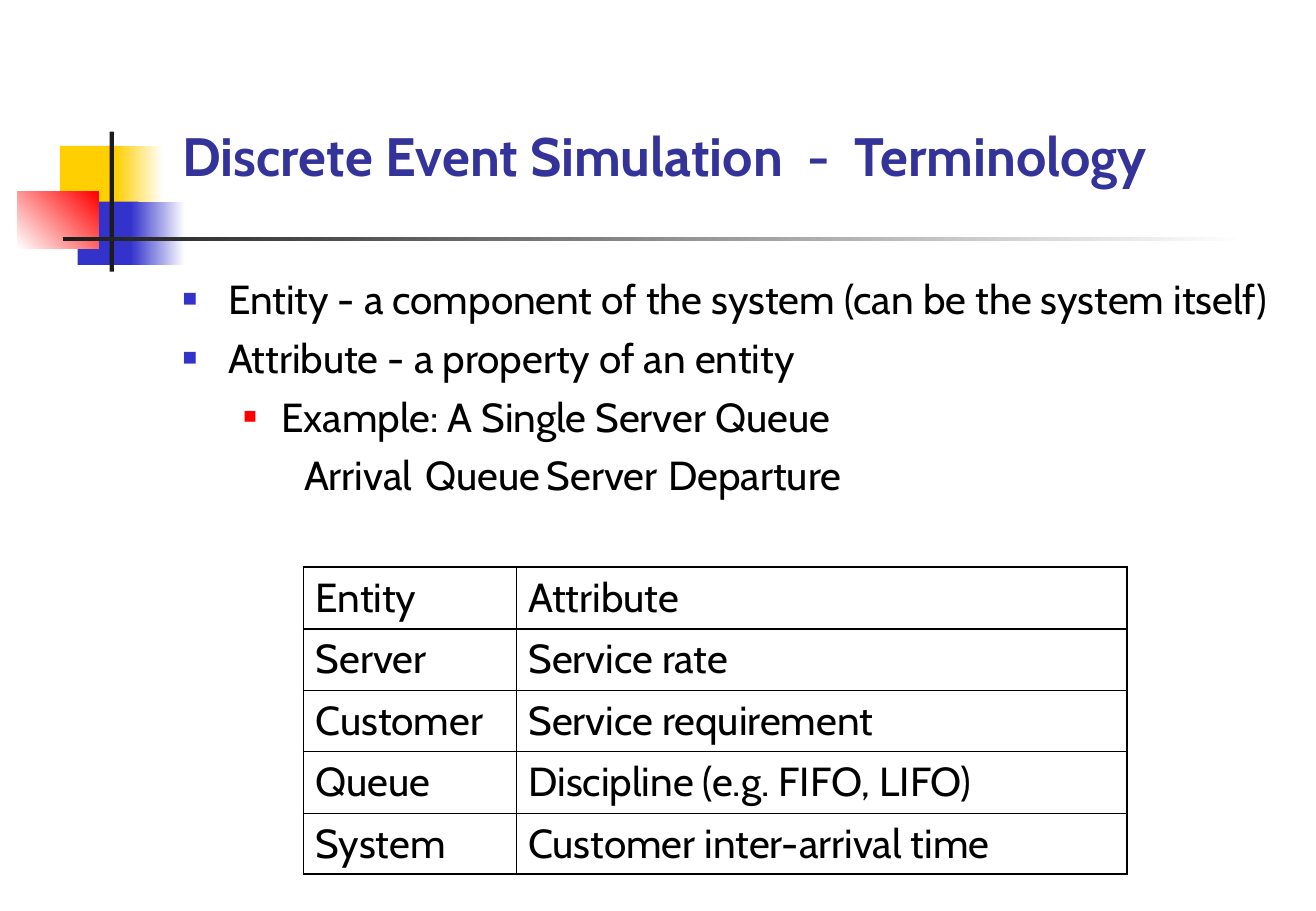
from lxml import etree
from pptx import Presentation
from pptx.dml import color
from pptx.enum import shapes, text
from pptx.oxml import ns
from pptx.util import Pt

RGB = color.RGBColor
YELLOW = RGB(0xFF, 0xCF, 0x01)
BLUE = RGB(0x33, 0x33, 0xCC)
RED = RGB(0xFF, 0x00, 0x00)
DARK = RGB(0x1C, 0x1C, 0x1C)
NAVY = RGB(0x33, 0x33, 0x99)
BLACK = RGB(0x00, 0x00, 0x00)
WHITE = RGB(0xFF, 0xFF, 0xFF)


def add_xml(parent, tag, **attrs):
    child = etree.SubElement(parent, ns.qn(tag))
    for name, value in attrs.items():
        child.set(name, str(value))
    return child


def style(p, size, rgb, bold=False):
    for r in p.runs:
        r.font.name = "Cabin"
        r.font.size = Pt(size)
        r.font.bold = bold
        r.font.color.rgb = rgb


prs = Presentation()
prs.slide_width, prs.slide_height = Pt(780), Pt(540)
s = prs.slides.add_slide(prs.slide_layouts[1])
title, body = s.placeholders

decorations = [
    (35.5, 86.5, 37.5, 37.5, YELLOW, None, 0),
    (68.5, 86.5, 28, 37.5, YELLOW, WHITE, 0),
    (46, 119.5, 36, 37.5, BLUE, None, 0),
    (77.5, 119.5, 32, 37.5, BLUE, WHITE, 0),
    (10.5, 113.75, 48, 33.5, WHITE, RED, 45),
    (65, 78, 2.5, 83, DARK, None, 0),
    (37.5, 140.5, 701, 2.25, DARK, WHITE, 0),
]
for x, y, w, h, start, end, angle in decorations:
    sp = s.shapes.add_shape(shapes.MSO_SHAPE.RECTANGLE, Pt(x), Pt(y), Pt(w), Pt(h))
    sp.shadow.inherit = False
    sp.line.fill.background()
    if end is None:
        sp.fill.solid()
        sp.fill.fore_color.rgb = start
    else:
        sp.fill.gradient()
        sp.fill.gradient_angle = angle
        for stop, rgb, position in zip(sp.fill.gradient_stops, (start, end), (0, 1)):
            stop.color.rgb = rgb
            stop.position = position

for placeholder in (title, body):
    s.shapes.element.append(placeholder.element)

title.left, title.top, title.width, title.height = Pt(101), Pt(54), Pt(664.5), Pt(115)
tf = title.text_frame
tf.text = "Discrete Event Simulation  -  Terminology"
tf.auto_size = text.MSO_AUTO_SIZE.NONE
tf.vertical_anchor = text.MSO_ANCHOR.MIDDLE
tf.margin_bottom = Pt(42.5)
tf.paragraphs[0].alignment = text.PP_ALIGN.LEFT
style(tf.paragraphs[0], 32, NAVY, True)

body.left, body.top, body.width, body.height = Pt(101), Pt(159), Pt(662.5), Pt(324)
tf = body.text_frame
tf.auto_size = text.MSO_AUTO_SIZE.NONE
items = [
    ("Entity - a component of the system (can be the system itself)", 0, 27, -27, BLUE, 60),
    ("Attribute - a property of an entity", 0, 27, -27, BLUE, 60),
    ("Example: A Single Server Queue", 1, 58.5, -22.5, RED, 55),
    ("Arrival\tQueue\tServer\tDeparture", 2, 0, 72, None, 0),
]
for i, (line, level, margin, indent, bullet, percent) in enumerate(items):
    p = tf.add_paragraph() if i else tf.paragraphs[0]
    p.text = line
    p.level = level
    pPr = p._p.get_or_add_pPr()
    pPr.set("marL", str(Pt(margin)))
    pPr.set("indent", str(Pt(indent)))
    if bullet is None:
        add_xml(pPr, "a:buNone")
        tabs = add_xml(pPr, "a:tabLst")
        for stop in (234, 378, 522):
            add_xml(tabs, "a:tab", pos=Pt(stop), algn="l")
    else:
        add_xml(add_xml(pPr, "a:buClr"), "a:srgbClr", val=bullet)
        add_xml(pPr, "a:buSzPct", val=percent * 1000)
        add_xml(pPr, "a:buChar", char="■")
    p.space_before = Pt(6 if i else 0)
    style(p, 24, BLACK)

rows = [
    ("Entity", "Attribute"),
    ("Server", "Service rate"),
    ("Customer", "Service requirement"),
    ("Queue", "Discipline (e.g. FIFO, LIFO)"),
    ("System", "Customer inter-arrival time"),
]
OUTER, HEADER, INNER = 1.08, 1.47, 0.45
last = len(rows) - 1
table = s.shapes.add_table(len(rows), 2, Pt(180), Pt(336.25), Pt(488), Pt(180)).table
table.first_row = table.horz_banding = False
table.columns[0].width, table.columns[1].width = Pt(126), Pt(362)
for i, row in enumerate(rows):
    for j, value in enumerate(row):
        cell = table.cell(i, j)
        cell.text = value
        style(cell.text_frame.paragraphs[0], 24, BLACK)
        borders = {
            "a:lnL": INNER if j else OUTER,
            "a:lnR": OUTER if j else INNER,
            "a:lnT": {0: OUTER, 1: HEADER}.get(i, INNER),
            "a:lnB": {0: HEADER, last: OUTER}.get(i, INNER),
        }
        for tag, width in borders.items():
            ln = add_xml(cell._tc.get_or_add_tcPr(), tag, w=Pt(width))
            add_xml(add_xml(ln, "a:solidFill"), "a:srgbClr", val=BLACK)
        cell.fill.background()

prs.save("out.pptx")
